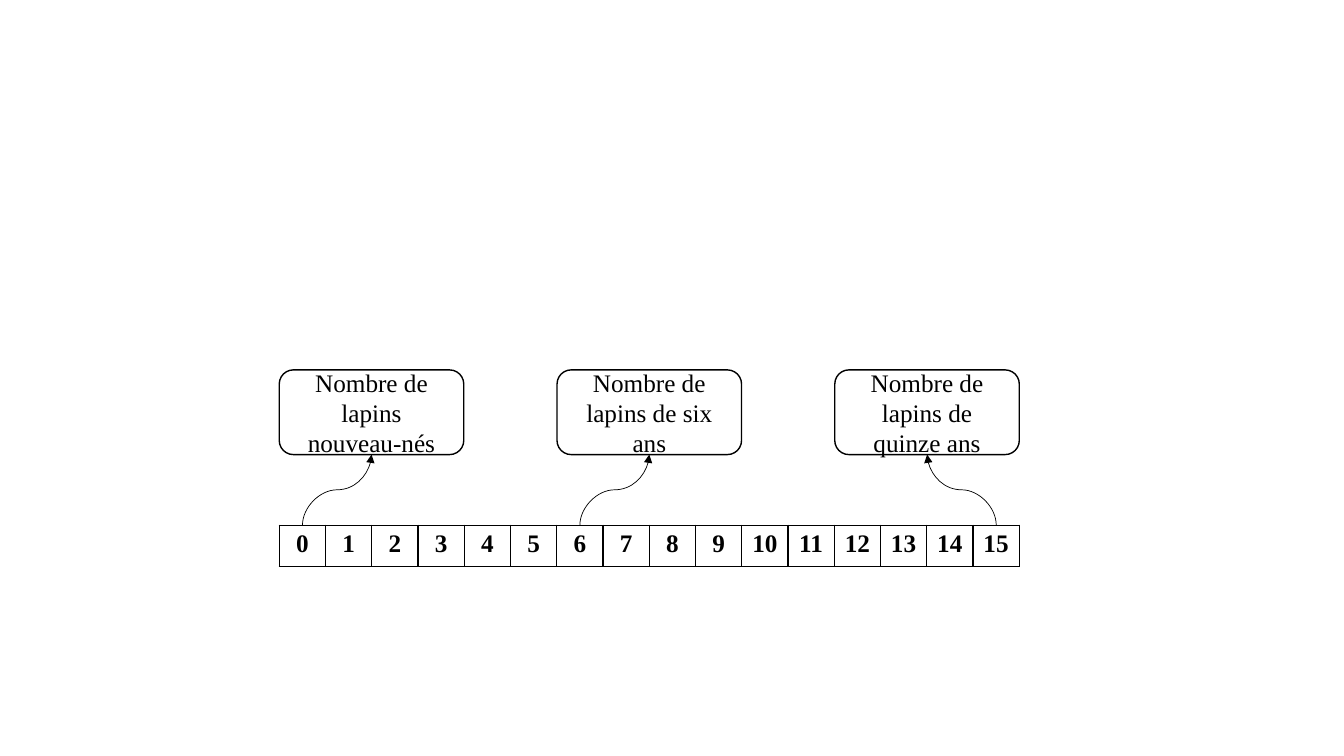
import pptx
import pptx.dml.color
import pptx.enum.shapes
import pptx.enum.text
import pptx.oxml
import pptx.oxml.ns
import pptx.util
from lxml import etree

Inches = pptx.util.Inches
COLORS = {"ink": "000000", "paper": "FFFFFF"}


def rgb(name):
    return pptx.dml.color.RGBColor.from_string(COLORS[name])


class Diagram:
    font = "Times New Roman"
    size = 18

    def __init__(self, slide):
        self.slide = slide

    def add_text(self, frame, text, bold=False):
        paragraph = frame.paragraphs[0]
        paragraph.alignment = pptx.enum.text.PP_ALIGN.CENTER
        run = paragraph.add_run()
        run.text = text
        run.font.name = self.font
        run.font.size = pptx.util.Pt(self.size)
        run.font.bold = bold
        run.font.color.rgb = rgb("ink")

    def outline(self, line, width):
        line.color.rgb = rgb("ink")
        line.width = pptx.util.Pt(width)

    def border(self, cell):
        properties = cell._tc.get_or_add_tcPr()
        for side in ("lnL", "lnR", "lnT", "lnB"):
            properties.append(pptx.oxml.parse_xml(
                f'<a:{side} {pptx.oxml.ns.nsdecls("a")} w="12700"><a:solidFill>'
                f'<a:srgbClr val="{COLORS["ink"]}"/></a:solidFill></a:{side}>'))

    def age_row(self, left, top, width, height, ages):
        table = self.slide.shapes.add_table(
            1, len(ages), Inches(left), Inches(top), Inches(width), Inches(height)).table
        table.first_row = False
        table.horz_banding = False
        for column, age in zip(table.columns, ages):
            column.width = Inches(width / len(ages))
            cell = table.cell(0, age)
            self.border(cell)
            cell.fill.solid()
            cell.fill.fore_color.rgb = rgb("paper")
            self.add_text(cell.text_frame, str(age), bold=True)

    def label(self, left, top, width, height, text):
        box = self.slide.shapes.add_shape(
            pptx.enum.shapes.MSO_SHAPE.ROUNDED_RECTANGLE,
            Inches(left), Inches(top), Inches(width), Inches(height))
        box.shadow.inherit = False
        box.fill.solid()
        box.fill.fore_color.rgb = rgb("paper")
        self.outline(box.line, 1)
        box.text_frame.word_wrap = True
        box.text_frame.vertical_anchor = pptx.enum.text.MSO_ANCHOR.MIDDLE
        self.add_text(box.text_frame, text)

    def rising_curve(self, start_x, start_y, end_x, end_y):
        middle_x, middle_y = (start_x + end_x) / 2, (start_y + end_y) / 2
        half_rise, half_run = (start_y - end_y) / 2, abs(end_x - start_x) / 2
        rightward = end_x > start_x
        reach = half_rise if rightward else -half_rise
        curve = self.slide.shapes.add_connector(
            pptx.enum.shapes.MSO_CONNECTOR.CURVE,
            Inches(middle_x + reach), Inches(middle_y + half_run),
            Inches(middle_x - reach), Inches(middle_y - half_run))
        self.outline(curve.line, 0.5)
        properties = curve._element.spPr
        turn = 90 if rightward else 270
        properties.find(pptx.oxml.ns.qn("a:xfrm")).set("rot", str(turn * 60000))
        line = properties.find(pptx.oxml.ns.qn("a:ln"))
        etree.SubElement(line, pptx.oxml.ns.qn("a:tailEnd"), type="triangle")
        etree.SubElement(properties, pptx.oxml.ns.qn("a:effectLst"))


def main():
    presentation = pptx.Presentation()
    presentation.slide_width = Inches(13.33)
    presentation.slide_height = Inches(7.5)
    diagram = Diagram(presentation.slides.add_slide(presentation.slide_layouts[6]))

    left, row_top, row_width = 2.77, 5.21, 7.34
    label_top, label_width, label_height = 3.67, 1.83, 0.84
    ages = range(16)
    age_width = row_width / len(ages)
    labels = {
        0: "Nombre de lapins nouveau-nés",
        6: "Nombre de lapins de six ans",
        15: "Nombre de lapins de quinze ans",
    }
    label_step = (row_width - label_width) / (len(labels) - 1)

    diagram.age_row(left, row_top, row_width, 0.41, ages)
    for position, (age, text) in enumerate(labels.items()):
        label_left = left + position * label_step
        diagram.label(label_left, label_top, label_width, label_height, text)
        diagram.rising_curve(left + (age + 0.5) * age_width, row_top,
                             label_left + label_width / 2, label_top + label_height)

    presentation.save("out.pptx")


if __name__ == "__main__":
    main()
